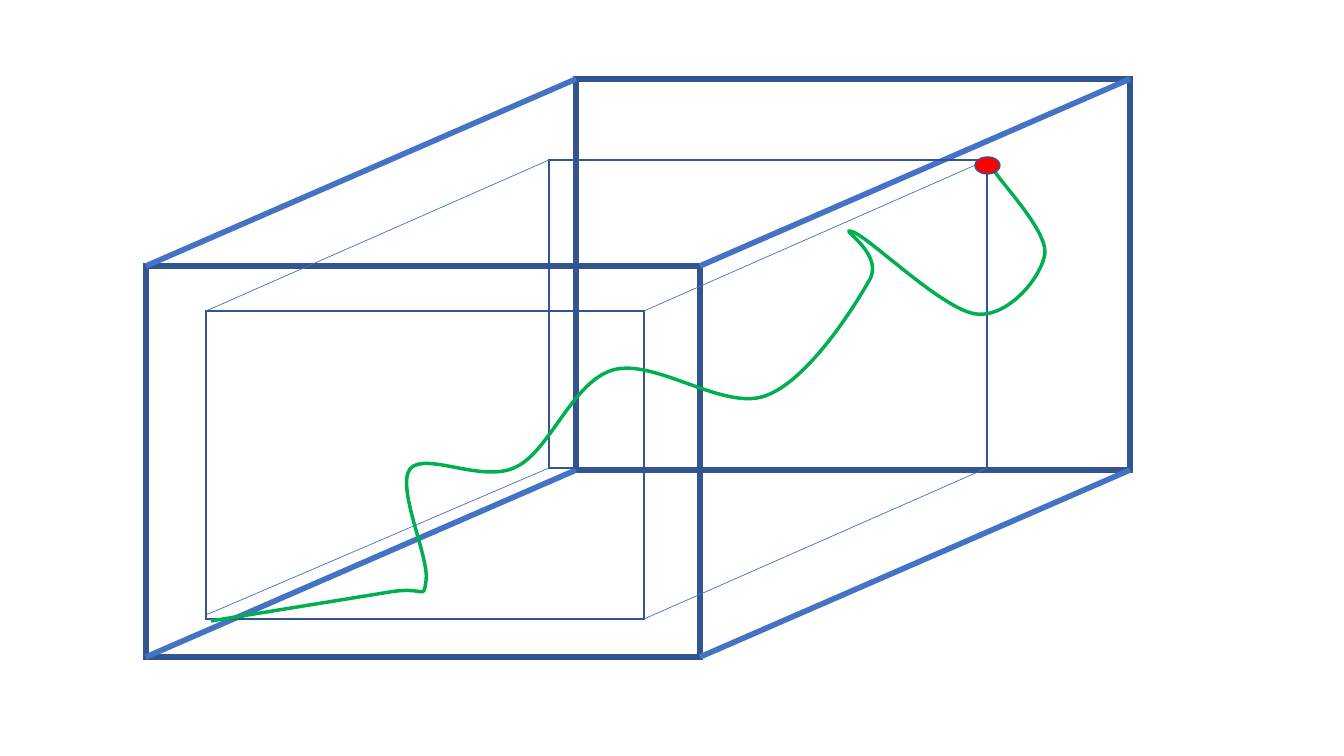
from lxml import etree
from pptx import Presentation
from pptx import util as u
from pptx.dml.color import RGBColor
from pptx.enum import shapes
from pptx.oxml.ns import qn

OUTLINE = RGBColor(0x32, 0x54, 0x91)
DEPTH = RGBColor(0x44, 0x72, 0xC4)
PATH_GREEN = RGBColor(0x00, 0xB0, 0x50)
GOAL_RED = RGBColor(0xFF, 0x00, 0x00)

SLIDE = (1344, 756)
BOXES = [
    {"size": (554, 391), "faces": [(576, 79), (146, 266)],
     "face_pt": 4, "edge_pt": 4, "lift": 0},
    {"size": (438, 308), "faces": [(549, 160), (206, 311)],
     "face_pt": 1, "edge_pt": 0.5, "lift": 4},
]
START = (211, 621)
BEND = (390, 592)
CURVES = [
    ((426, 586), (423, 601), (426, 581)),
    ((430, 559), (396, 488), (410, 469)),
    ((425, 451), (483, 484), (516, 467)),
    ((550, 451), (572, 382), (613, 370)),
    ((655, 358), (723, 411), (765, 396)),
    ((808, 381), (855, 306), (870, 279)),
    ((884, 252), (835, 226), (853, 232)),
    ((870, 238), (943, 310), (976, 314)),
    ((1008, 318), (1042, 277), (1045, 253)),
    ((1046, 229), (1001, 183), (993, 169)),
    ((984, 160), (988, 161), (993, 168)),
]
GOAL = (975, 157, 25, 17)


def px(value):
    return round(value * 914400 / 100.8)


def set_line(shape, color, points):
    shape.line.color.rgb = color
    shape.line.width = u.Pt(points)
    outline = shape._element.spPr.find(qn("a:ln"))
    etree.SubElement(outline, qn("a:miter"), lim="800000")


def add_outline(page, kind, frame, points):
    shape = page.shapes.add_shape(kind, *map(px, frame))
    shape.shadow.inherit = False
    shape.fill.background()
    set_line(shape, OUTLINE, points)
    return shape


def add_edge(page, start, end, points):
    edge = page.shapes.add_connector(
        shapes.MSO_CONNECTOR.STRAIGHT, *map(px, start + end))
    set_line(edge, DEPTH, points)
    etree.SubElement(edge._element.spPr, qn("a:effectLst"))


def add_box(page, size, faces, face_pt, edge_pt, lift):
    for face in faces:
        add_outline(page, shapes.MSO_SHAPE.RECTANGLE, face + size, face_pt)
    (back_x, back_y), (front_x, front_y) = faces
    width, height = size
    for dx, dy in [(width, height), (width, 0), (0, height), (0, 0)]:
        rise = lift if (dx, dy) == (0, height) else 0
        add_edge(page, (front_x + dx, front_y + dy - rise),
                 (back_x + dx, back_y + dy), edge_pt)


def add_trajectory(page):
    track = [BEND] + [point for curve in CURVES for point in curve]
    builder = page.shapes.build_freeform(*map(px, START))
    builder.add_line_segments([(px(x), px(y)) for x, y in track], close=False)
    shape = builder.convert_to_shape()
    segments = list(shape._element.iter(qn("a:lnTo")))[1:]
    for first in range(0, len(segments), 3):
        curve, *rest = segments[first:first + 3]
        bezier = etree.Element(qn("a:cubicBezTo"))
        curve.addprevious(bezier)
        for segment in (curve, *rest):
            bezier.append(segment[0])
            segment.getparent().remove(segment)
    shape.shadow.inherit = False
    shape.fill.background()
    set_line(shape, PATH_GREEN, 2.5)


def main():
    deck = Presentation()
    deck.slide_width, deck.slide_height = map(px, SLIDE)
    page = deck.slides.add_slide(deck.slide_layouts[6])
    for box in BOXES:
        add_box(page, **box)
    add_trajectory(page)
    goal = add_outline(page, shapes.MSO_SHAPE.OVAL, GOAL, 1)
    goal.fill.solid()
    goal.fill.fore_color.rgb = GOAL_RED
    deck.save("out.pptx")


if __name__ == "__main__":
    main()
